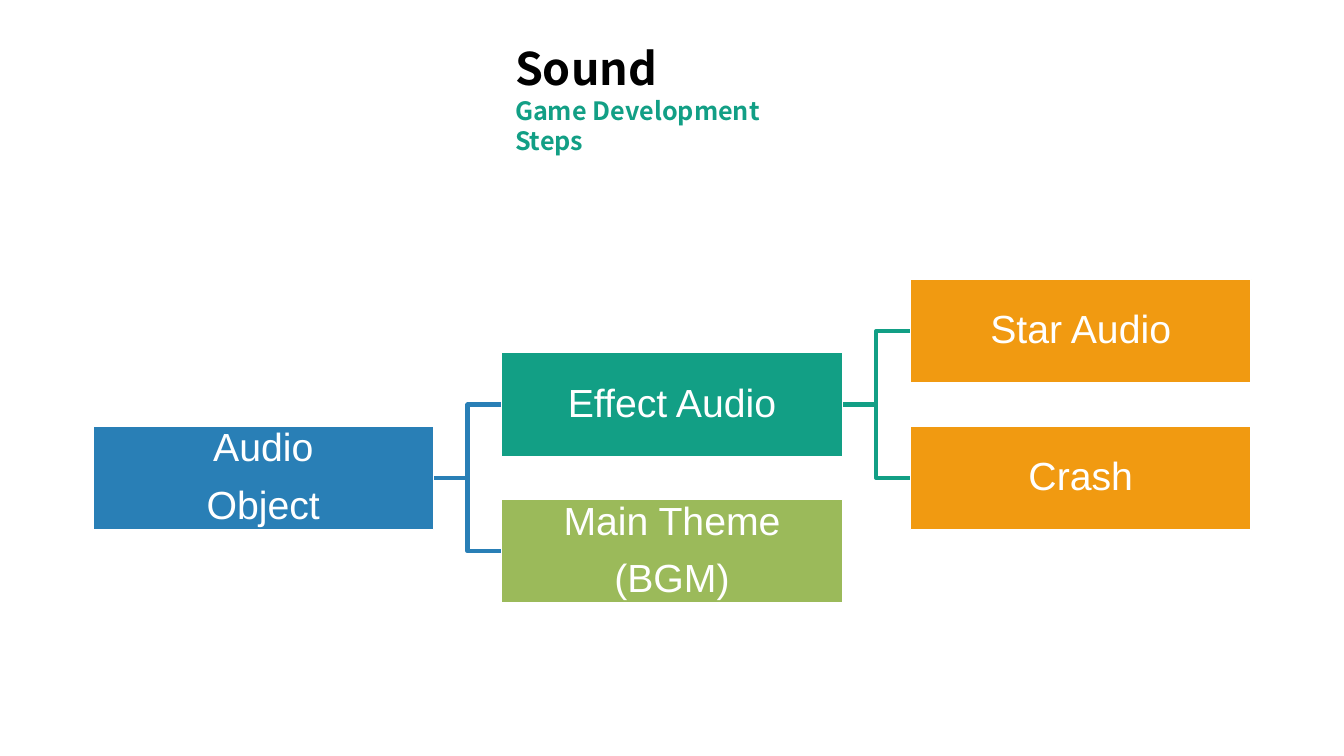
from pptx import Presentation
from pptx.dml.color import RGBColor
from pptx.enum.shapes import MSO_SHAPE
from pptx.enum.text import MSO_ANCHOR, MSO_AUTO_SIZE, PP_ALIGN
from pptx.util import Cm, Pt

RECTANGLE = MSO_SHAPE.RECTANGLE
MIDDLE = MSO_ANCHOR.MIDDLE
CENTER = PP_ALIGN.CENTER
GROW = MSO_AUTO_SIZE.SHAPE_TO_FIT_TEXT

HEADING = [("Sound", "title"), ("Game Development Steps", "subtitle")]
NODES = {
    "object": (["Audio", "Object"], 0, 2, "blue"),
    "effect": (["Effect Audio"], 1, 1, "teal"),
    "star": (["Star Audio"], 2, 0, "orange"),
    "crash": (["Crash"], 2, 2, "orange"),
    "theme": (["Main Theme", "(BGM)"], 1, 3, "green"),
}
LINKS = [
    ("object", "theme"),
    ("effect", "crash"),
    ("effect", "star"),
    ("object", "effect"),
]

THEME = {
    "blue": RGBColor(0x29, 0x7F, 0xB6),
    "teal": RGBColor(0x12, 0x9F, 0x85),
    "orange": RGBColor(0xF1, 0x9A, 0x11),
    "green": RGBColor(0x9B, 0xBA, 0x5A),
    "white": RGBColor(0xFF, 0xFF, 0xFF),
    "black": RGBColor(0, 0, 0),
    "title": {"name": "Noto Sans CJK KR", "size": Pt(32), "bold": True},
    "subtitle": {"name": "Noto Sans CJK KR", "size": Pt(18), "bold": True},
    "node": {"name": "Arial", "size": Pt(28), "bold": False},
}
TEXT_COLOURS = {"title": "black", "subtitle": "teal", "node": "white"}
NODE_PARAGRAPH = {"alignment": CENTER, "line_spacing": 0.9, "space_after": Pt(11)}
NODE_FRAME = {
    "word_wrap": True, "vertical_anchor": MIDDLE,
    "margin_left": Cm(0.05), "margin_right": Cm(0.05),
    "margin_top": Cm(0.05), "margin_bottom": Cm(0.05),
}
HEADING_FRAME = {"word_wrap": True, "auto_size": GROW}

LEFT, TOP = 2.34, 7.04
COLUMN_STEP, ROW_STEP = 10.3, 1.85
NODE_WIDTH, NODE_HEIGHT = 8.59, 2.61


def apply(target, values):
    for name, value in values.items():
        setattr(target, name, value)


def write(frame, lines, paragraph_format):
    for index, (text, style) in enumerate(lines):
        para = frame.paragraphs[0] if index == 0 else frame.add_paragraph()
        apply(para, paragraph_format)
        span = para.add_run()
        span.text = text
        apply(span.font, THEME[style])
        span.font.color.rgb = THEME[TEXT_COLOURS[style]]


def corner(key):
    _, column, row, _ = NODES[key]
    return LEFT + column * COLUMN_STEP, TOP + row * ROW_STEP


def add_link(page, parent, child):
    parent_left, parent_top = corner(parent)
    end_x, child_top = corner(child)
    start_x = parent_left + NODE_WIDTH
    start_y, end_y = parent_top + NODE_HEIGHT / 2, child_top + NODE_HEIGHT / 2
    middle_x = (start_x + end_x) / 2
    builder = page.shapes.build_freeform(Cm(start_x), Cm(start_y))
    bends = [(middle_x, start_y), (middle_x, end_y), (end_x, end_y)]
    builder.add_line_segments([(Cm(x), Cm(y)) for x, y in bends], close=False)
    link = builder.convert_to_shape()
    link.shadow.inherit = False
    link.fill.background()
    link.line.color.rgb = THEME[NODES[parent][3]]
    link.line.width = Pt(3)


def add_node(page, key):
    lines, _, _, colour = NODES[key]
    left, top = corner(key)
    box = page.shapes.add_shape(
        RECTANGLE, Cm(left), Cm(top), Cm(NODE_WIDTH), Cm(NODE_HEIGHT))
    box.shadow.inherit = False
    box.fill.solid()
    box.fill.fore_color.rgb = THEME[colour]
    box.line.color.rgb = THEME["white"]
    box.line.width = Pt(1)
    apply(box.text_frame, NODE_FRAME)
    write(box.text_frame, [(line, "node") for line in lines], NODE_PARAGRAPH)


def main():
    deck = Presentation()
    deck.slide_width, deck.slide_height = Cm(33.87), Cm(19.05)
    page = deck.slides.add_slide(deck.slide_layouts[6])
    heading = page.shapes.add_textbox(Cm(12.73), Cm(0.91), Cm(8.43), Cm(2.39))
    apply(heading.text_frame, HEADING_FRAME)
    write(heading.text_frame, HEADING, {})
    for parent, child in LINKS:
        add_link(page, parent, child)
    for key in NODES:
        add_node(page, key)
    deck.save("out.pptx")


if __name__ == "__main__":
    main()
